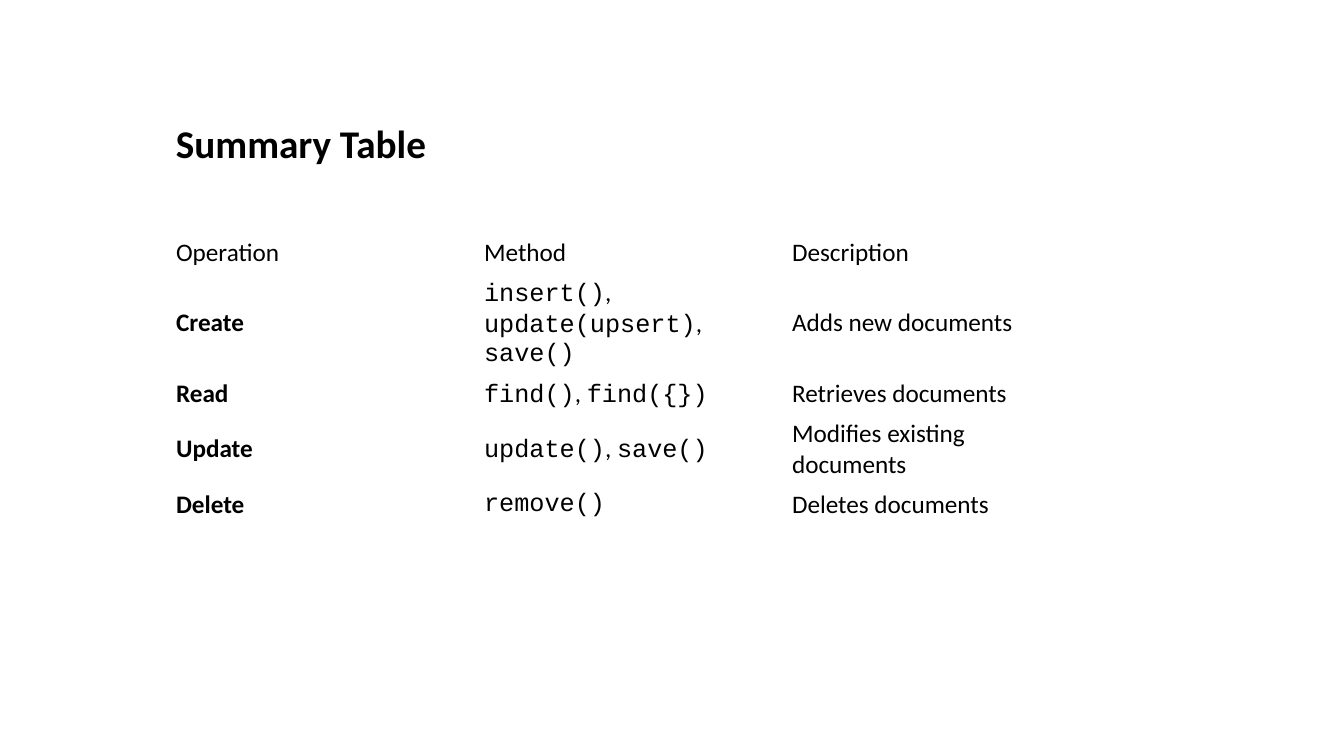
from pptx import Presentation
from pptx.dml.color import RGBColor
from pptx.enum.text import MSO_ANCHOR
from pptx.util import Emu, Pt

OPERATIONS = [
    ("Create", ["insert()", "update(upsert)", "save()"], "Adds new documents"),
    ("Read", ["find()", "find({})"], "Retrieves documents"),
    ("Update", ["update()", "save()"], "Modifies existing documents"),
    ("Delete", ["remove()"], "Deletes documents"),
]


def px(length):
    return Emu(round(length * 914400 / 100.8))


def color(value):
    return RGBColor.from_string(value)


class SummarySlide:
    body_font = "Calibri"
    code_font = "Courier New"
    ink = "000000"
    paper = "FFFFFF"
    title_size = 28
    cell_size = 18

    def __init__(self, presentation):
        self.slide = presentation.slides.add_slide(presentation.slide_layouts[6])
        background = self.slide.background.fill
        background.solid()
        background.fore_color.rgb = color(self.paper)

    def style(self, run, size, font, bold=False):
        run.font.name = font
        run.font.size = Pt(size)
        run.font.bold = bold
        run.font.color.rgb = color(self.ink)

    def title(self, text, left, top, width, height):
        frame = self.slide.shapes.add_textbox(px(left), px(top), px(width), px(height)).text_frame
        frame.word_wrap = True
        heading = frame.paragraphs[0]
        heading.text = text
        heading.line_spacing = 0.9
        heading.space_before = Pt(10)
        self.style(heading.runs[0], self.title_size, self.body_font, True)

    def table(self, rows, left, top, column_width, row_height):
        columns = len(rows[0])
        summary = self.slide.shapes.add_table(
            len(rows), columns, px(left), px(top),
            px(column_width * columns), px(row_height * len(rows))).table
        summary.first_row = False
        summary.horz_banding = False
        for row_index, row in enumerate(rows):
            for column_index, content in enumerate(row):
                cell = summary.cell(row_index, column_index)
                cell.fill.background()
                cell.vertical_anchor = MSO_ANCHOR.MIDDLE
                is_operation = row_index > 0 and column_index == 0
                self.fill_cell(cell, content, is_operation)

    def fill_cell(self, cell, content, bold):
        if isinstance(content, list):
            self.methods(cell.text_frame.paragraphs[0], content)
        else:
            cell.text_frame.text = content
            self.style(cell.text_frame.paragraphs[0].runs[0], self.cell_size, self.body_font, bold)

    def methods(self, paragraph, names):
        for index, name in enumerate(names):
            if index:
                self.add_part(paragraph, ", ", self.body_font)
            self.add_part(paragraph, name, self.code_font)

    def add_part(self, paragraph, text, font):
        part = paragraph.add_run()
        part.text = text
        self.style(part, self.cell_size, font)


def main():
    presentation = Presentation()
    presentation.slide_width = px(1344)
    presentation.slide_height = px(756)
    summary = SummarySlide(presentation)
    summary.title("Summary Table", 166, 120, 994, 577)
    header = ("Operation", "Method", "Description")
    summary.table([header, *OPERATIONS], 166, 232, 308, 40)
    presentation.save("out.pptx")


if __name__ == "__main__":
    main()
